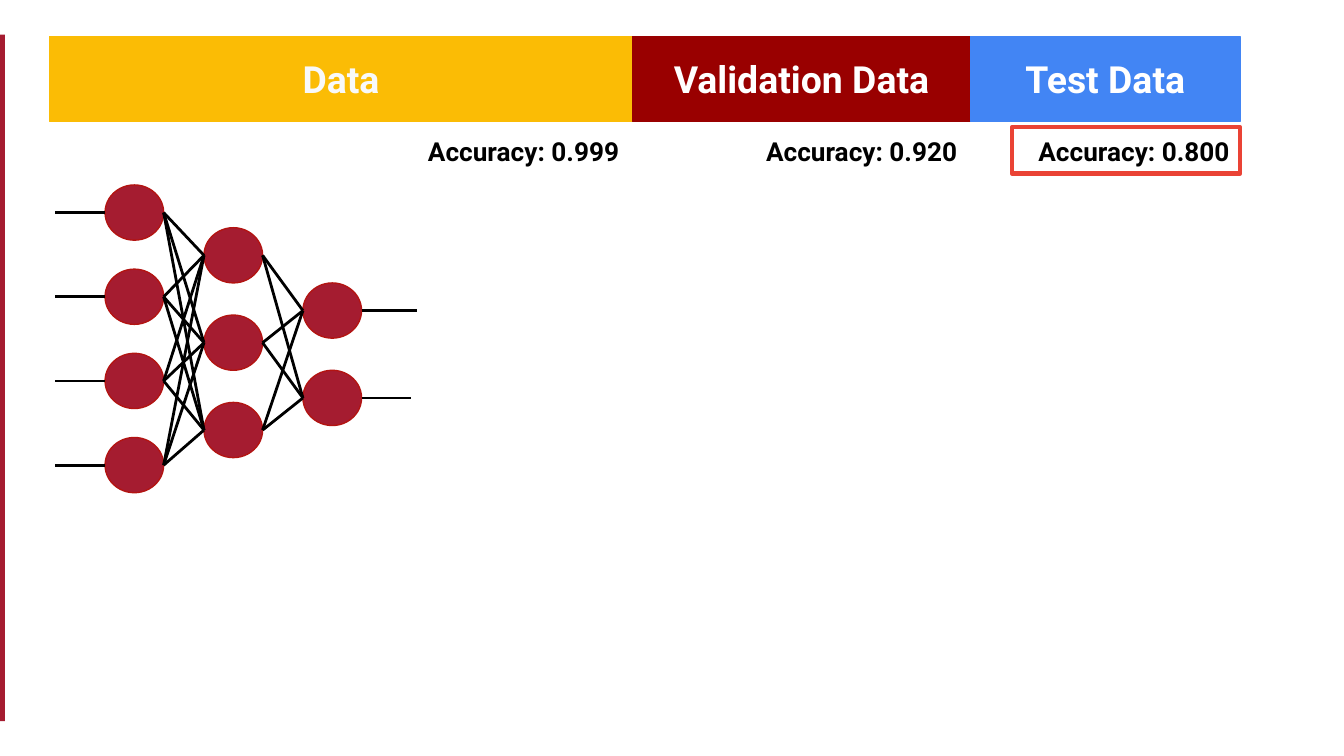
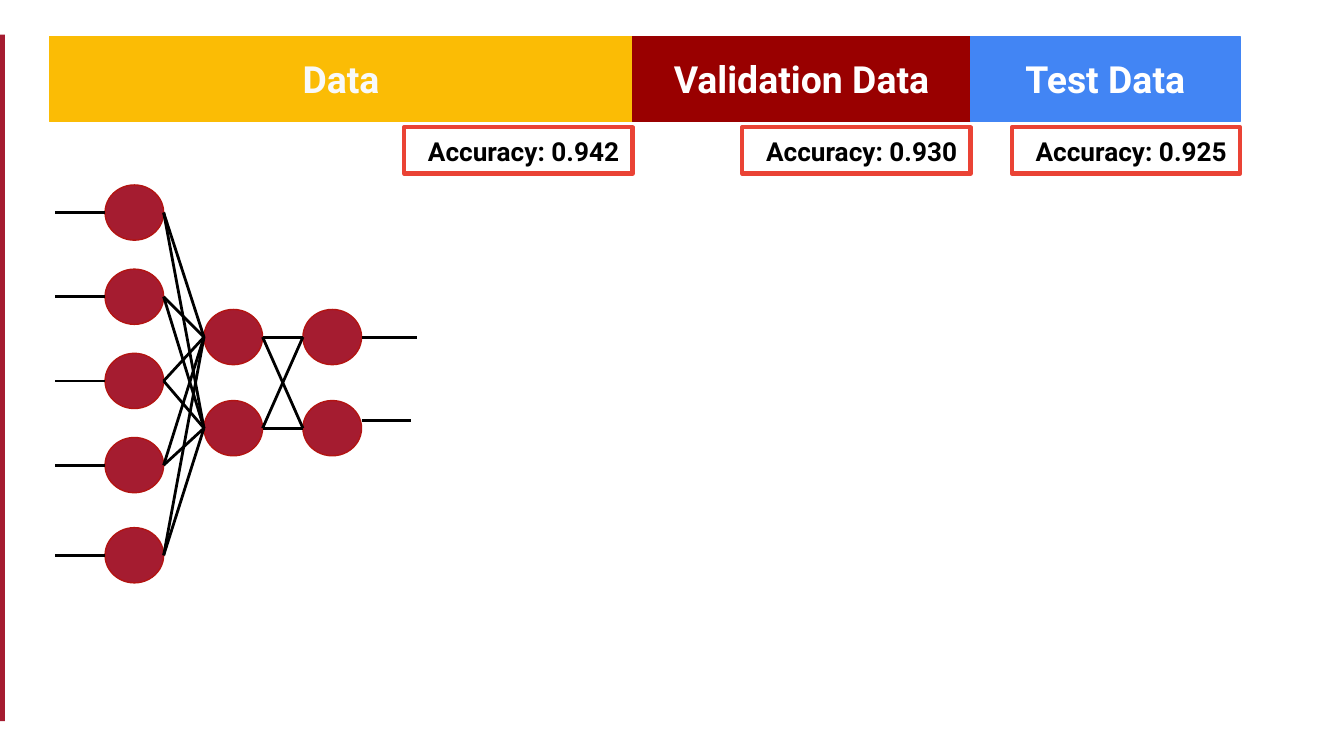
from itertools import pairwise, product

from lxml.etree import SubElement
from pptx import Presentation
from pptx.dml.color import RGBColor
from pptx.enum.shapes import MSO_CONNECTOR, MSO_SHAPE
from pptx.enum.text import MSO_ANCHOR, MSO_AUTO_SIZE, PP_ALIGN
from pptx.oxml.ns import qn
from pptx.util import Pt

CRIMSON = RGBColor(0xA5, 0x1C, 0x30)
NODE_EDGE = RGBColor(0xB3, 0x14, 0x12)
YELLOW = RGBColor(0xFB, 0xBC, 0x05)
DARK_RED = RGBColor(0x99, 0x00, 0x00)
BLUE = RGBColor(0x42, 0x85, 0xF4)
FRAME_RED = RGBColor(0xEA, 0x43, 0x35)
OFF_WHITE = RGBColor(0xF8, 0xF9, 0xFA)
WHITE = RGBColor(0xFF, 0xFF, 0xFF)
BLACK = RGBColor(0, 0, 0)
FONT = "Roboto"

# Data split bar: label, right edge, fill, text colour
SPLITS = [
    ("Data", 338.9, YELLOW, OFF_WHITE),
    ("Validation Data", 520, DARK_RED, WHITE),
    ("Test Data", 664.4, BLUE, WHITE),
]
# accuracies: text, framed, shift to the right
# layers: centre heights of the nodes, from the input layer to the output layer
SLIDES = [
    {
        "accuracies": [("0.999", False, 0), ("0.920", False, 0), ("0.800", True, 1.5)],
        "layers": [[113.9, 159, 204.1, 249.2], [136.8, 183.6, 230.4], [166.4, 213.2]],
        "outputs": [166.4, 213.2],
    },
    {
        "accuracies": [("0.942", True, 0), ("0.930", True, 0), ("0.925", True, 0)],
        "layers": [[113.9, 159, 204.1, 249.2, 297.5], [180.6, 229.4], [180.6, 229.4]],
        "outputs": [180.6, 225.4],
    },
]

BAR_LEFT, BAR_TOP, BAR_HEIGHT = 26.6, 19.5, 45.6
LABEL_TOP, LABEL_WIDTH, LABEL_HEIGHT = 65.1, 126.8, 31
FRAME_TOP, FRAME_WIDTH, FRAME_HEIGHT = 68.2, 122.4, 24.8
NODE_LEFT, NODE_STEP, NODE_WIDTH, NODE_HEIGHT = 56.3, 53, 31.4, 29.6
INPUT_LEFT = 29.5
OUTPUT_RIGHTS = [223.3, 220.2]


def add_box(slide, kind, left, top, width, height, fill=None, line=None, weight=0.75):
    shape = slide.shapes.add_shape(kind, Pt(left), Pt(top), Pt(width), Pt(height))
    shape.shadow.inherit = False
    if fill is None:
        shape.fill.background()
    else:
        shape.fill.solid()
        shape.fill.fore_color.rgb = fill
    if line is None:
        shape.line.fill.background()
    else:
        shape.line.color.rgb = line
        shape.line.width = Pt(weight)
    return shape


def write(shape, text, size, color, alignment):
    frame = shape.text_frame
    frame.word_wrap = True
    frame.margin_left = frame.margin_right = Pt(7.2)
    frame.margin_top = frame.margin_bottom = Pt(7.2)
    paragraph = frame.paragraphs[0]
    paragraph.text = text
    paragraph.alignment = alignment
    font = paragraph.runs[0].font
    font.name, font.size, font.bold = FONT, Pt(size), True
    font.color.rgb = color


def add_line(slide, x1, y1, x2, y2):
    connector = slide.shapes.add_connector(
        MSO_CONNECTOR.STRAIGHT, Pt(x1), Pt(y1), Pt(x2), Pt(y2))
    connector.line.color.rgb = BLACK
    connector.line.width = Pt(1.5)
    SubElement(connector._element.spPr, qn("a:effectLst"))


def add_split_bar(slide):
    left = BAR_LEFT
    for label, right, fill, color in SPLITS:
        bar = add_box(slide, MSO_SHAPE.ROUNDED_RECTANGLE, left, BAR_TOP,
                      right - left, BAR_HEIGHT, fill, fill)
        bar.adjustments[0] = 0
        write(bar, label, 20, color, PP_ALIGN.CENTER)
        bar.text_frame.vertical_anchor = MSO_ANCHOR.MIDDLE
        left = right


def add_accuracies(slide, accuracies):
    for (_, right, _, _), (value, framed, shift) in zip(SPLITS, accuracies):
        if framed:
            add_box(slide, MSO_SHAPE.RECTANGLE, right - FRAME_WIDTH, FRAME_TOP,
                    FRAME_WIDTH, FRAME_HEIGHT, line=FRAME_RED, weight=2.25)
        label = slide.shapes.add_textbox(
            Pt(right - LABEL_WIDTH + shift), Pt(LABEL_TOP), Pt(LABEL_WIDTH), Pt(LABEL_HEIGHT))
        write(label, f"Accuracy: {value}", 14, BLACK, PP_ALIGN.RIGHT)
        label.text_frame.auto_size = MSO_AUTO_SIZE.SHAPE_TO_FIT_TEXT


def add_network(slide, layers, outputs):
    lefts = [NODE_LEFT + NODE_STEP * index for index in range(len(layers))]
    for left, centres in zip(lefts, layers):
        for centre in centres:
            add_box(slide, MSO_SHAPE.OVAL, left, centre - NODE_HEIGHT / 2,
                    NODE_WIDTH, NODE_HEIGHT, CRIMSON, NODE_EDGE)
    for (left, sources), (next_left, targets) in pairwise(zip(lefts, layers)):
        for source, target in product(sources, targets):
            add_line(slide, left + NODE_WIDTH, source, next_left, target)
    for centre in layers[0]:
        add_line(slide, INPUT_LEFT, centre, NODE_LEFT, centre)
    for right, height in zip(OUTPUT_RIGHTS, outputs):
        add_line(slide, lefts[-1] + NODE_WIDTH, height, right, height)


def main():
    presentation = Presentation()
    presentation.slide_width, presentation.slide_height = Pt(720), Pt(405)
    for content in SLIDES:
        slide = presentation.slides.add_slide(presentation.slide_layouts[6])
        add_box(slide, MSO_SHAPE.RECTANGLE, -1.5, 18.6, 4.2, 367.8, CRIMSON)
        add_network(slide, content["layers"], content["outputs"])
        add_split_bar(slide)
        add_accuracies(slide, content["accuracies"])
    presentation.save("out.pptx")


if __name__ == "__main__":
    main()
